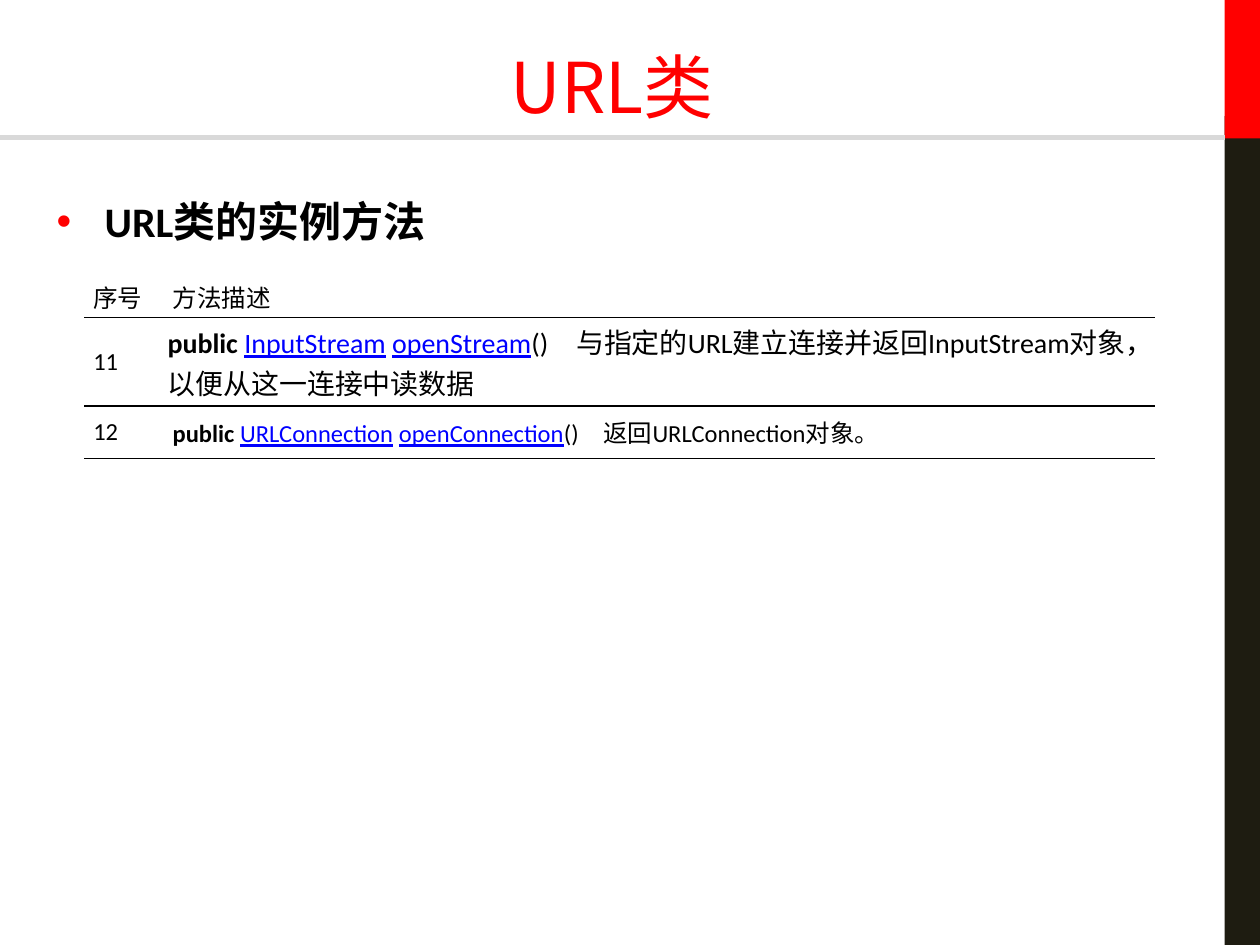
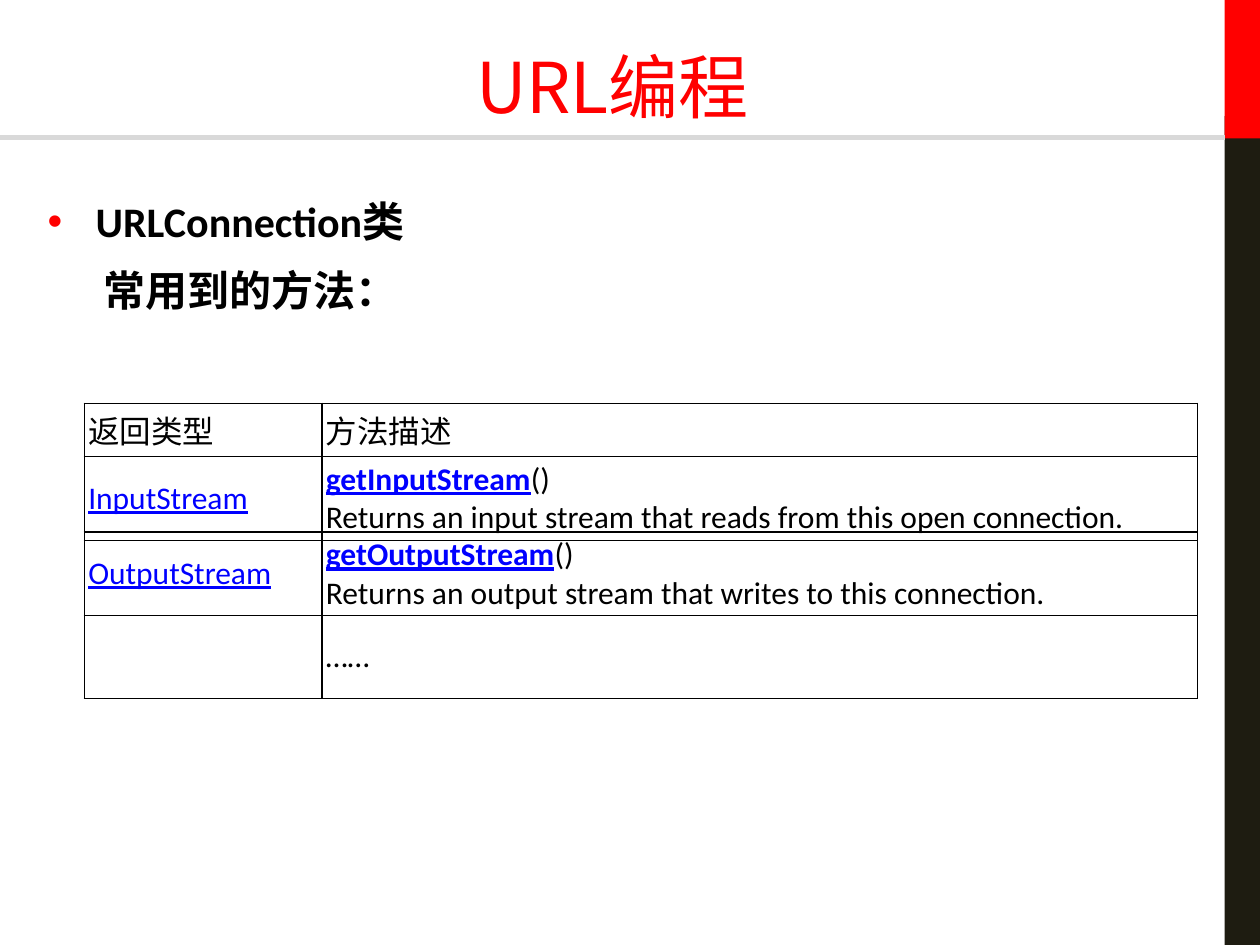
from lxml.etree import SubElement
from pptx import Presentation
from pptx.dml.color import RGBColor
from pptx.enum.shapes import MSO_CONNECTOR, MSO_SHAPE
from pptx.enum.text import MSO_ANCHOR, PP_ALIGN
from pptx.oxml.ns import qn
from pptx.util import Cm, Pt

# Shared look
RED, DARK, GREY = "FF0000", "1E1C11", "D9D9D9"
BLACK, LINK_BLUE = "000000", "0000FF"
LATIN, CJK = "Calibri", "Noto Sans CJK JP"
SLIDE_W, SLIDE_H = 25.4, 19.05
BAND_X = 24.69
TABLE_X = 1.7
WIDE, NARROW = 0.18, 0.08  # side margins of table cells
BOLD, LINK, BOLD_LINK = "bold", "link", "bold link"


def rgb(value):
    return RGBColor.from_string(value)


def format_run(run, size, color=BLACK, latin=LATIN, style=""):
    font = run.font
    font.size = Pt(size)
    font.bold = "bold" in style
    font.underline = "link" in style
    font.color.rgb = rgb(LINK_BLUE if "link" in style else color)
    font.name = latin
    SubElement(run.font._element, qn("a:ea"), typeface=CJK)


# Frame: side bands, rule and title
def add_band(slide, top, height, color):
    band = slide.shapes.add_shape(MSO_SHAPE.RECTANGLE, Cm(BAND_X), Cm(top),
                                  Cm(SLIDE_W - BAND_X), Cm(height))
    band.shadow.inherit = False
    band.fill.solid()
    band.fill.fore_color.rgb = rgb(color)
    band.line.fill.background()


def add_title_rule(slide):
    rule = slide.shapes.add_connector(MSO_CONNECTOR.STRAIGHT, 0, Cm(2.77),
                                      Cm(BAND_X), Cm(2.77))
    rule.line.color.rgb = rgb(GREY)
    rule.line.width = Pt(3)
    SubElement(rule._element.spPr, qn("a:effectLst"))


def add_text_area(slide, left, top, width, height):
    frame = slide.shapes.add_textbox(Cm(left), Cm(top), Cm(width),
                                     Cm(height)).text_frame
    frame.word_wrap = True
    return frame


def add_titled_slide(prs, title):
    slide = prs.slides.add_slide(prs.slide_layouts[6])
    add_band(slide, 2.34, SLIDE_H - 2.34, DARK)
    add_band(slide, 0, 2.79, RED)
    add_title_rule(slide)
    frame = add_text_area(slide, 0, 0.74, BAND_X, 1.98)
    frame.vertical_anchor = MSO_ANCHOR.MIDDLE
    frame.text = title
    heading = frame.paragraphs[0]
    heading.alignment = PP_ALIGN.CENTER
    format_run(heading.runs[0], 40, RED, CJK)
    return slide


# Topic: a bulleted line, with an optional plain line below
def add_topic(slide, left, width, lines):
    frame = add_text_area(slide, left, 3.94, width, 14)
    frame.margin_top = 0
    frame.text = "\n".join(lines)
    for index, line in enumerate(frame.paragraphs):
        line.alignment = PP_ALIGN.JUSTIFY
        line.space_after = Pt(10.5)
        format_run(line.runs[0], 24, style=BOLD)
        props = line._p.get_or_add_pPr()
        if index == 0:
            props.set("marL", str(Cm(0.97)))
            props.set("indent", str(-Cm(0.97)))
            bullet_color = SubElement(props, qn("a:buClr"))
            SubElement(bullet_color, qn("a:srgbClr"), val=RED)
            SubElement(props, qn("a:buFont"), typeface="Arial")
            SubElement(props, qn("a:buChar"), char="•")
        else:
            props.set("marL", str(Cm(1.12)))
            props.set("indent", "0")


# Tables
def set_borders(cell, visible_sides):
    props = cell._tc.get_or_add_tcPr()
    for side in "LRTB":
        border = SubElement(props, qn(f"a:ln{side}"), w=str(Pt(1)))
        if side in visible_sides:
            fill = SubElement(border, qn("a:solidFill"))
            SubElement(fill, qn("a:srgbClr"), val=BLACK)
        else:
            SubElement(border, qn("a:noFill"))


def fill_cell(cell, lines, size, margin):
    """Each line is a list of (text, style) pairs."""
    cell.vertical_anchor = MSO_ANCHOR.MIDDLE
    cell.margin_left = cell.margin_right = Cm(margin)
    cell.margin_top = cell.margin_bottom = Cm(NARROW)
    frame = cell.text_frame
    for index, line in enumerate(lines):
        paragraph = frame.add_paragraph() if index else frame.paragraphs[0]
        for text, style in line:
            run = paragraph.add_run()
            run.text = text
            format_run(run, size, style=style)


def add_method_table(slide, top, widths, heights, rows, size, margin, boxed):
    table = slide.shapes.add_table(len(rows), len(widths), Cm(TABLE_X), Cm(top),
                                   Cm(sum(widths)), Cm(sum(heights))).table
    table.first_row = table.horz_banding = False
    for column, width in zip(table.columns, widths):
        column.width = Cm(width)
    for r, (row, height) in enumerate(zip(rows, heights)):
        table.rows[r].height = Cm(height)
        for c, lines in enumerate(row):
            cell = table.cell(r, c)
            set_borders(cell, "LRTB" if boxed else "TB" if r else "B")
            cell.fill.background()
            fill_cell(cell, lines, size, margin)
    return table


def plain(text):
    return [[(text, "")]]


def signature(returned, method, note):
    return [[("public ", BOLD), (returned, LINK), (" ", ""), (method, LINK),
             ("()　" + note, "")]]


def description(method, note):
    return [[(method, BOLD_LINK), ("()", "")], [(note, "")]]


def build_url_class(prs):
    slide = add_titled_slide(prs, "URL类")
    add_topic(slide, 0.89, 22.86, ["URL类的实例方法"])
    rows = [
        [plain("序号"), plain("方法描述")],
        [plain("11"), []],
        [plain("12"), signature("URLConnection", "openConnection",
                                "返回URLConnection对象。")],
    ]
    methods = add_method_table(slide, 5.54, [1.6, 19.99], [0.86, 1.78, 1.06],
                               rows, 14, WIDE, boxed=False)
    # The stream method is set larger than the other rows
    open_stream = signature("InputStream", "openStream",
                            "与指定的URL建立连接并返回InputStream对象，以便从这一连接中读数据")
    fill_cell(methods.cell(1, 1), open_stream, 16, NARROW)


def build_url_programming(prs):
    slide = add_titled_slide(prs, "URL编程")
    add_topic(slide, 0.71, 23.42, ["URLConnection类", "常用到的方法："])
    input_rows = [
        [plain("返回类型"), plain("方法描述")],
        [[[("InputStream", LINK)]],
         description("getInputStream",
                     "Returns an input stream that reads from this open connection.")],
    ]
    output_rows = [
        [[[("OutputStream", LINK)]],
         description("getOutputStream",
                     "Returns an output stream that writes to this connection.")],
        [[], plain("……")],
    ]
    for top, heights, rows in ((8.13, [1.07, 1.7], input_rows),
                               (10.72, [1.68, 1.68], output_rows)):
        add_method_table(slide, top, [4.79, 17.65], heights, rows, 18, NARROW,
                         boxed=True)


def main():
    prs = Presentation()
    prs.slide_width, prs.slide_height = Cm(SLIDE_W), Cm(SLIDE_H)
    build_url_class(prs)
    build_url_programming(prs)
    prs.save("out.pptx")


if __name__ == "__main__":
    main()
